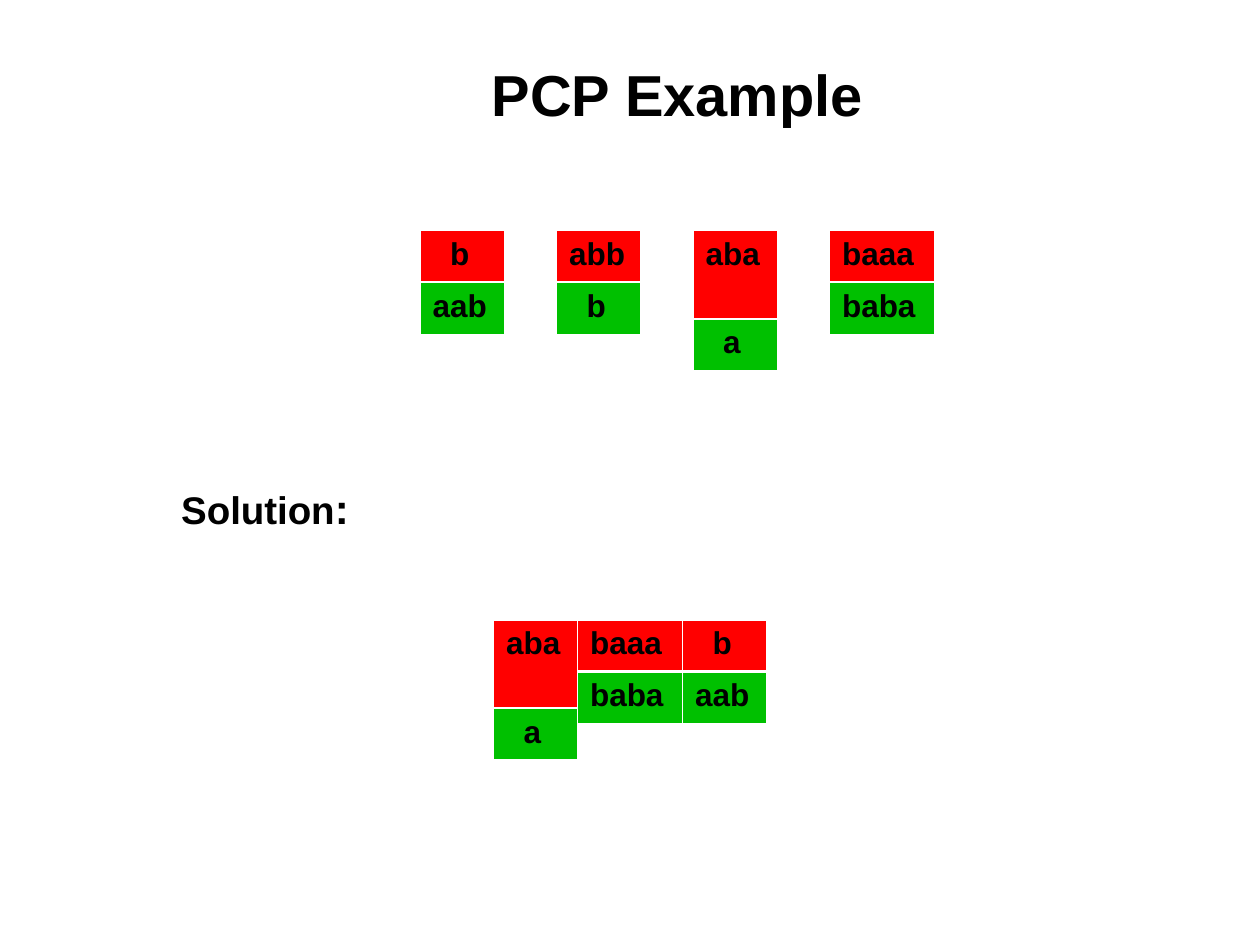
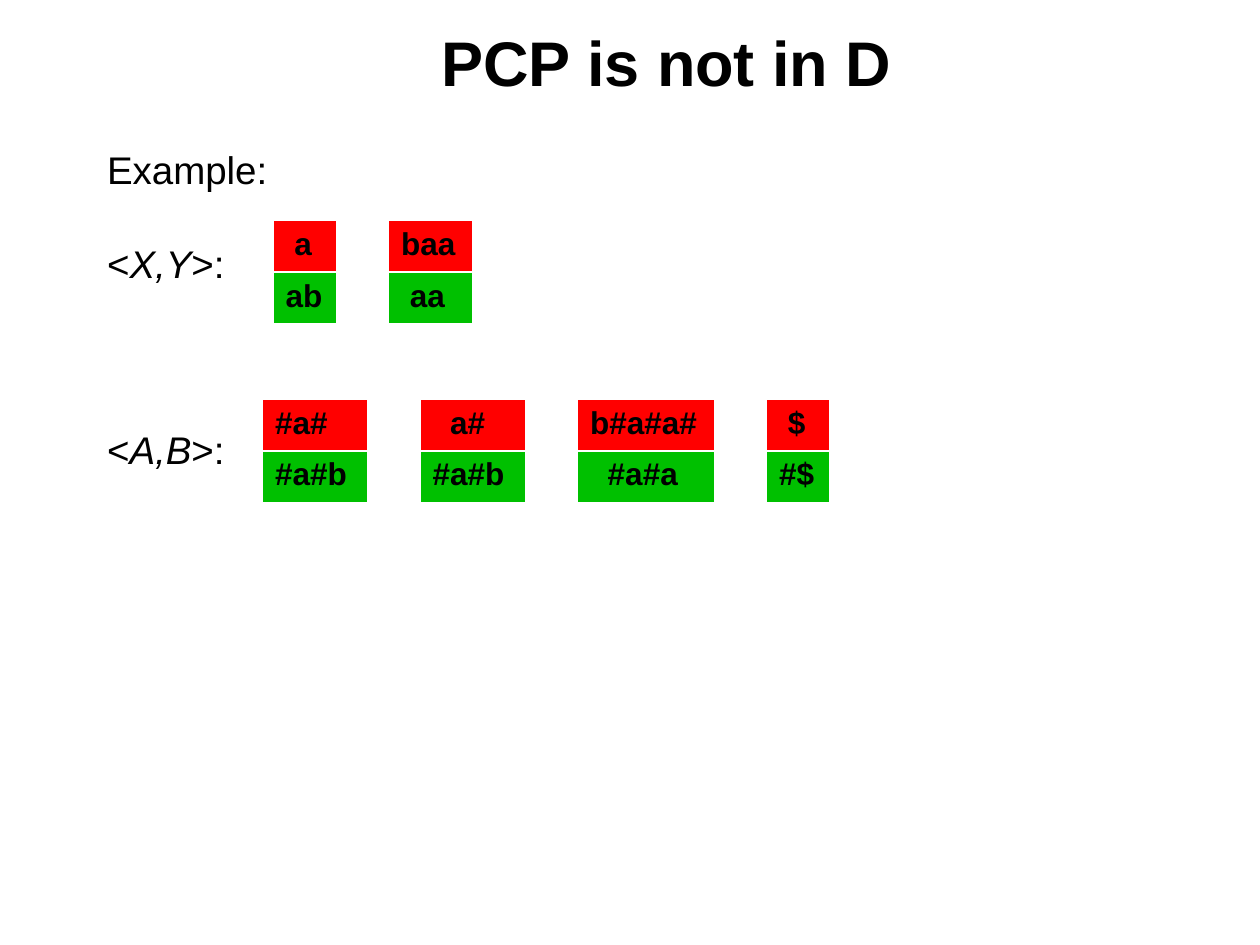
from collections import namedtuple

from lxml.etree import SubElement
from pptx import Presentation
from pptx.dml.color import RGBColor
from pptx.enum.text import MSO_ANCHOR, MSO_AUTO_SIZE, PP_ALIGN
from pptx.oxml import parse_xml
from pptx.oxml.ns import nsdecls, qn
from pptx.util import Inches, Pt

# Shared style
FONT = "Arial"
BLACK, WHITE, RED, GREEN = "000000", "FFFFFF", "FF0000", "00C000"
OUTER_LINE, MIDDLE_LINE = 0.45, 1.47

# Domino geometry, in inches
UNIT = 1 / 12
GAP = 5 * UNIT
WIDTH_BY_LENGTH = {2: 6 * UNIT, 3: 8 * UNIT, 4: 10 * UNIT, 6: 13 * UNIT}
ROW_HEIGHT, TALL_ROW_HEIGHT = 0.41, 0.7
CELL_MARGIN, INDENT_STEP = 0.1, 0.07

# Indents count steps from the left cell margin
Domino = namedtuple("Domino", "top bottom top_indent bottom_indent top_height",
                    defaults=(0, 0, ROW_HEIGHT))
B_AAB = Domino("b", "aab", top_indent=2)
ABB_B = Domino("abb", "b", bottom_indent=2)
ABA_A = Domino("aba", "a", bottom_indent=2, top_height=TALL_ROW_HEIGHT)
BAAA_BABA = Domino("baaa", "baba")


def rgb(color):
    return RGBColor.from_string(color)


def set_font(font, size, bold=False):
    font.name = FONT
    font.size = Pt(size)
    font.bold = bold
    font.color.rgb = rgb(BLACK)


def place(shape, left, top, width, height):
    shape.left, shape.top = Inches(left), Inches(top)
    shape.width, shape.height = Inches(width), Inches(height)


def add_title(slide, text, size, box):
    title = slide.shapes.title
    place(title, *box)
    frame = title.text_frame
    frame.text = text
    frame.auto_size = MSO_AUTO_SIZE.NONE
    frame.vertical_anchor = MSO_ANCHOR.MIDDLE
    frame.margin_top = Inches(0.11)
    paragraph = frame.paragraphs[0]
    paragraph.alignment = PP_ALIGN.CENTER
    set_font(paragraph.font, size, bold=True)


def set_border(cell, side, width):
    """Borders must stand before the fill in the cell properties."""
    properties = cell._tc.get_or_add_tcPr()
    line = parse_xml(f'<a:{side} {nsdecls("a")} w="{Pt(width)}"><a:solidFill>'
                     f'<a:srgbClr val="{WHITE}"/></a:solidFill></a:{side}>')
    properties.insert(len(properties), line)


def fill_cell(cell, text, indent, color, middle_side):
    for side in ("lnL", "lnR", "lnT", "lnB"):
        set_border(cell, side, MIDDLE_LINE if side == middle_side else OUTER_LINE)
    cell.fill.solid()
    cell.fill.fore_color.rgb = rgb(color)
    cell.margin_left = Inches(CELL_MARGIN + indent * INDENT_STEP)
    cell.margin_right = Inches(CELL_MARGIN)
    cell.text = text
    set_font(cell.text_frame.paragraphs[0].font, 18, bold=True)


def add_domino(slide, domino, left, top, width):
    heights = (domino.top_height, ROW_HEIGHT)
    table = slide.shapes.add_table(2, 1, Inches(left), Inches(top),
                                   Inches(width), Inches(sum(heights))).table
    table.first_row = table.horz_banding = False
    for row, height in zip(table.rows, heights):
        row.height = Inches(height)
    fill_cell(table.cell(0, 0), domino.top, domino.top_indent, RED, "lnB")
    fill_cell(table.cell(1, 0), domino.bottom, domino.bottom_indent, GREEN, "lnT")


def add_domino_row(slide, dominoes, left, top, gap=GAP):
    for domino in dominoes:
        width = WIDTH_BY_LENGTH[max(len(domino.top), len(domino.bottom))]
        add_domino(slide, domino, left, top, width)
        left += width + gap


def add_label(slide, parts, box):
    label = slide.shapes.add_textbox(*map(Inches, box))
    frame = label.text_frame
    frame.margin_top = Inches(0.08)
    for text, size in parts:
        run = frame.paragraphs[0].add_run()
        run.text = text
        set_font(run.font, size, bold=True)


def add_body(slide, lines, box):
    """Each line is its space before and its runs; odd runs are italic."""
    body = slide.placeholders[1]
    place(body, *box)
    frame = body.text_frame
    frame.auto_size = MSO_AUTO_SIZE.NONE
    frame.margin_top = Inches(0.08)
    for index, (space, runs) in enumerate(lines):
        paragraph = frame.add_paragraph() if index else frame.paragraphs[0]
        paragraph.space_before = Pt(space)
        properties = paragraph._p.get_or_add_pPr()
        properties.set("marL", "0")
        properties.set("indent", "0")
        SubElement(properties, qn("a:buNone"))
        set_font(paragraph.font, 22)
        for position, text in enumerate(runs):
            run = paragraph.add_run()
            run.text = text
            run.font.italic = position % 2 == 1


def build_example(presentation):
    slide = presentation.slides.add_slide(presentation.slide_layouts[5])
    add_title(slide, "PCP Example", 33, (0.75, 0.25, 9.25, 0.92))
    add_domino_row(slide, (B_AAB, ABB_B, ABA_A, BAAA_BABA), 40 * UNIT, 1.83)
    add_label(slide, (("Solution", 22), (":", 24)), (1.34, 3.75, 1.53, 0.5))
    add_domino_row(slide, (ABA_A, BAAA_BABA, B_AAB), 47 * UNIT, 4.92, gap=0)


def build_undecidable(presentation):
    slide = presentation.slides.add_slide(presentation.slide_layouts[1])
    add_title(slide, "PCP is not in D", 36, (0.58, 0.08, 9.42, 0.75))
    add_body(slide, ((0, ("Example:",)),
                     (27, ("<", "X,Y", ">:")),
                     (80, ("<", "A,B", ">:"))), (0.75, 1.08, 8.83, 3.4))
    # Dominoes of <X,Y>
    add_domino_row(slide, (Domino("a", "ab", top_indent=1),
                           Domino("baa", "aa", bottom_indent=1)), 26 * UNIT, 1.75)
    # Dominoes of <A,B>
    add_domino_row(slide, (Domino("#a#", "#a#b"),
                           Domino("a#", "#a#b", top_indent=2),
                           Domino("b#a#a#", "#a#a", bottom_indent=2),
                           Domino("$", "#$", top_indent=1)), 25 * UNIT, 3.17)


def main():
    presentation = Presentation()
    presentation.slide_width, presentation.slide_height = Inches(10), Inches(7.5)
    build_example(presentation)
    build_undecidable(presentation)
    presentation.save("out.pptx")


if __name__ == "__main__":
    main()
